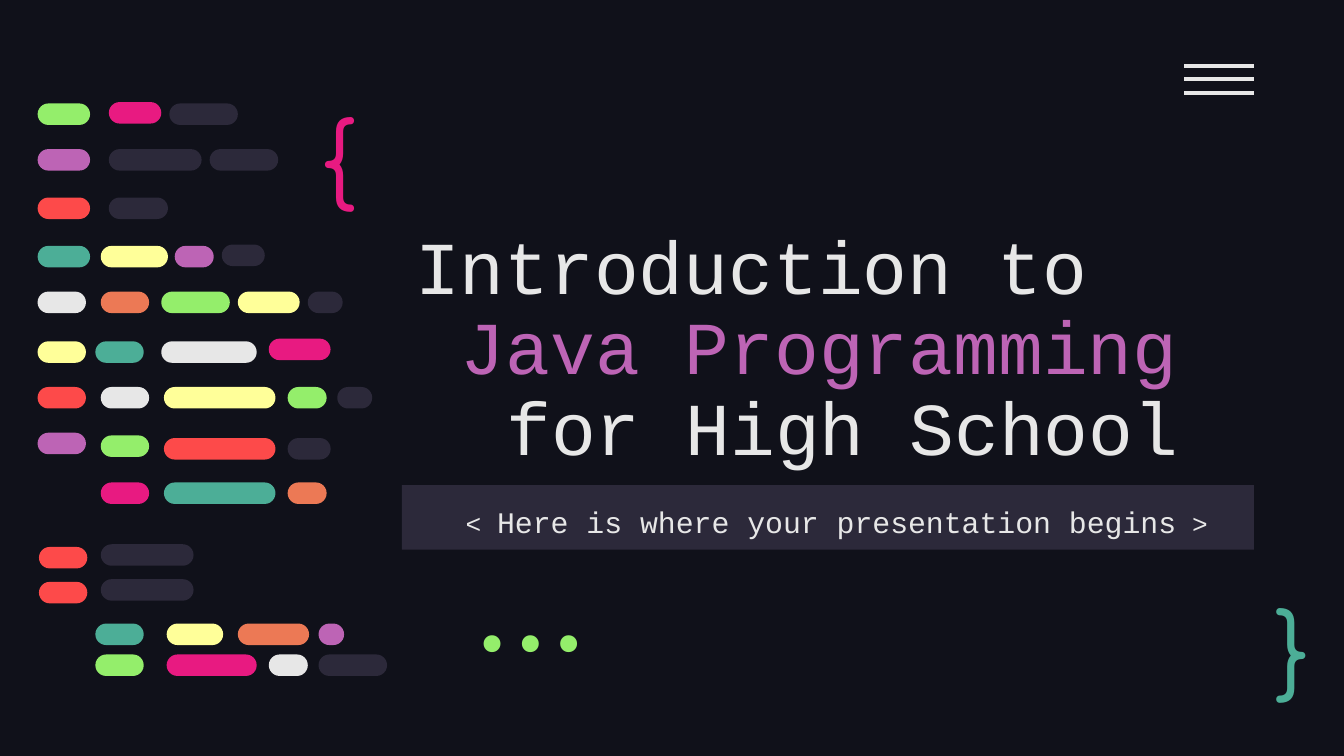
from pptx import Presentation
from pptx.dml.color import RGBColor
from pptx.enum.shapes import MSO_CONNECTOR, MSO_SHAPE
from pptx.enum.text import MSO_ANCHOR as ANCHOR, PP_ALIGN as ALIGN
from pptx.oxml.ns import qn
from pptx.util import Inches, Pt
from lxml import etree

GREEN, PINK, PURPLE, RED = "94EE6B", "E81A81", "BD64B5", "FD4A4A"
TEAL, YELLOW, WHITE, ORANGE = "4CAE97", "FFFF99", "E7E7E7", "EC7955"
DIM, BACKGROUND = "2C293A", "10111A"


def color(hex_string):
    return RGBColor.from_string(hex_string)


def format_run(run, font_name, size, hex_string):
    run.font.name = font_name
    run.font.size = Pt(size)
    run.font.color.rgb = color(hex_string)


# Widescreen 16:9 slide
presentation = Presentation()
presentation.slide_width = Inches(10)
presentation.slide_height = Inches(10 * 9 / 16)
slide = presentation.slides.add_slide(presentation.slide_layouts[6])
slide.background.fill.solid()
slide.background.fill.fore_color.rgb = color(BACKGROUND)

# Title: each line starts one character further right
title = slide.shapes.add_textbox(Inches(2.99), Inches(1.38), Inches(6.34), Inches(2.23))
frame = title.text_frame
frame.word_wrap = True
frame.vertical_anchor = ANCHOR.BOTTOM
frame.margin_top = frame.margin_bottom = Inches(0.1)
frame.text = "Introduction to\nJava Programming\nfor High School"
for level, (paragraph, hex_string) in enumerate(zip(frame.paragraphs, (WHITE, PURPLE, WHITE))):
    paragraph.line_spacing = 0.9
    paragraph._p.get_or_add_pPr().set("marL", str(Inches(0.34 * level)))
    format_run(paragraph.runs[0], "Courier New", 40, hex_string)

# Subtitle bar
subtitle = slide.shapes.add_shape(
    MSO_SHAPE.RECTANGLE, Inches(2.99), Inches(3.61), Inches(6.34), Inches(0.48))
subtitle.shadow.inherit = False
subtitle.fill.solid()
subtitle.fill.fore_color.rgb = color(DIM)
subtitle.line.fill.background()
frame = subtitle.text_frame
frame.word_wrap = True
frame.vertical_anchor = ANCHOR.TOP
frame.margin_top = frame.margin_bottom = Inches(0.1)
paragraph = frame.paragraphs[0]
paragraph.alignment = ALIGN.CENTER
paragraph.line_spacing = 1.15
for text, size in ((" ", 16), ("< ", 14), ("Here is where your presentation begins", 16), (" >", 14)):
    run = paragraph.add_run()
    run.text = text
    format_run(run, "Courier New", size, WHITE)

# Braces and dots
for text, left, top, width, height, anchor, alignment, font_name, hex_string in (
    ("{", 2.29, 0.62, 0.77, 0.95, ANCHOR.TOP, ALIGN.LEFT, "Comfortaa", PINK),
    ("}", 9.39, 4.38, 0.57, 0.83, ANCHOR.MIDDLE, ALIGN.LEFT, "Comfortaa", TEAL),
    ("...", 3.11, 4.49, 1.58, 0.6, ANCHOR.BOTTOM, ALIGN.RIGHT, "Fira Code", GREEN),
):
    symbol = slide.shapes.add_textbox(Inches(left), Inches(top), Inches(width), Inches(height))
    frame = symbol.text_frame
    frame.word_wrap = True
    frame.vertical_anchor = anchor
    frame.margin_top = frame.margin_bottom = Inches(0.1)
    frame.text = text
    frame.paragraphs[0].alignment = alignment
    format_run(frame.paragraphs[0].runs[0], font_name, 50, hex_string)

# Menu icon
menu = slide.shapes.add_group_shape()
for index in range(3):
    y = Inches(0.49 + 0.1 * index)
    bar = menu.shapes.add_connector(MSO_CONNECTOR.STRAIGHT, Inches(8.81), y, Inches(9.33), y)
    bar.line.color.rgb = color(WHITE)
    bar.line.width = Pt(2.25)
    etree.SubElement(bar._element.spPr, qn("a:effectLst"))

# Code pills, line by line: left, top, width, color
code_pills = (
    (0.28, 0.77, 0.39, GREEN), (0.81, 0.76, 0.39, PINK), (1.26, 0.77, 0.51, DIM),
    (0.28, 1.11, 0.39, PURPLE), (0.81, 1.11, 0.69, DIM), (1.56, 1.11, 0.51, DIM),
    (0.28, 1.47, 0.39, RED), (0.81, 1.47, 0.44, DIM),
    (0.28, 1.83, 0.39, TEAL), (0.75, 1.83, 0.5, YELLOW), (1.3, 1.83, 0.29, PURPLE),
    (1.65, 1.82, 0.32, DIM),
    (0.28, 2.17, 0.36, WHITE), (0.75, 2.17, 0.36, ORANGE), (1.2, 2.17, 0.51, GREEN),
    (1.77, 2.17, 0.46, YELLOW), (2.29, 2.17, 0.26, DIM),
    (0.28, 2.54, 0.36, YELLOW), (0.71, 2.54, 0.36, TEAL), (1.2, 2.54, 0.71, WHITE),
    (2, 2.52, 0.46, PINK),
    (0.28, 2.88, 0.36, RED), (0.75, 2.88, 0.36, WHITE), (1.22, 2.88, 0.83, YELLOW),
    (2.14, 2.88, 0.29, GREEN), (2.51, 2.88, 0.26, DIM),
    (0.28, 3.22, 0.36, PURPLE), (0.75, 3.24, 0.36, GREEN), (1.22, 3.26, 0.83, RED),
    (2.14, 3.26, 0.32, DIM),
    (0.75, 3.59, 0.36, PINK), (1.22, 3.59, 0.83, TEAL), (2.14, 3.59, 0.29, ORANGE),
    (0.29, 4.07, 0.36, RED), (0.75, 4.05, 0.69, DIM),
    (0.29, 4.33, 0.36, RED), (0.75, 4.31, 0.69, DIM),
    (0.71, 4.64, 0.36, TEAL), (1.24, 4.64, 0.42, YELLOW), (1.77, 4.64, 0.53, ORANGE),
    (2.37, 4.64, 0.19, PURPLE),
    (0.71, 4.87, 0.36, GREEN), (1.24, 4.87, 0.67, PINK), (2, 4.87, 0.29, WHITE),
    (2.37, 4.87, 0.51, DIM),
)
code = slide.shapes.add_group_shape()
for left, top, width, hex_string in code_pills:
    pill = code.shapes.add_shape(
        MSO_SHAPE.ROUNDED_RECTANGLE, Inches(left), Inches(top), Inches(width), Inches(0.16))
    pill.adjustments[0] = 0.5
    pill.shadow.inherit = False
    pill.fill.solid()
    pill.fill.fore_color.rgb = color(hex_string)
    pill.line.fill.background()

presentation.save("out.pptx")
